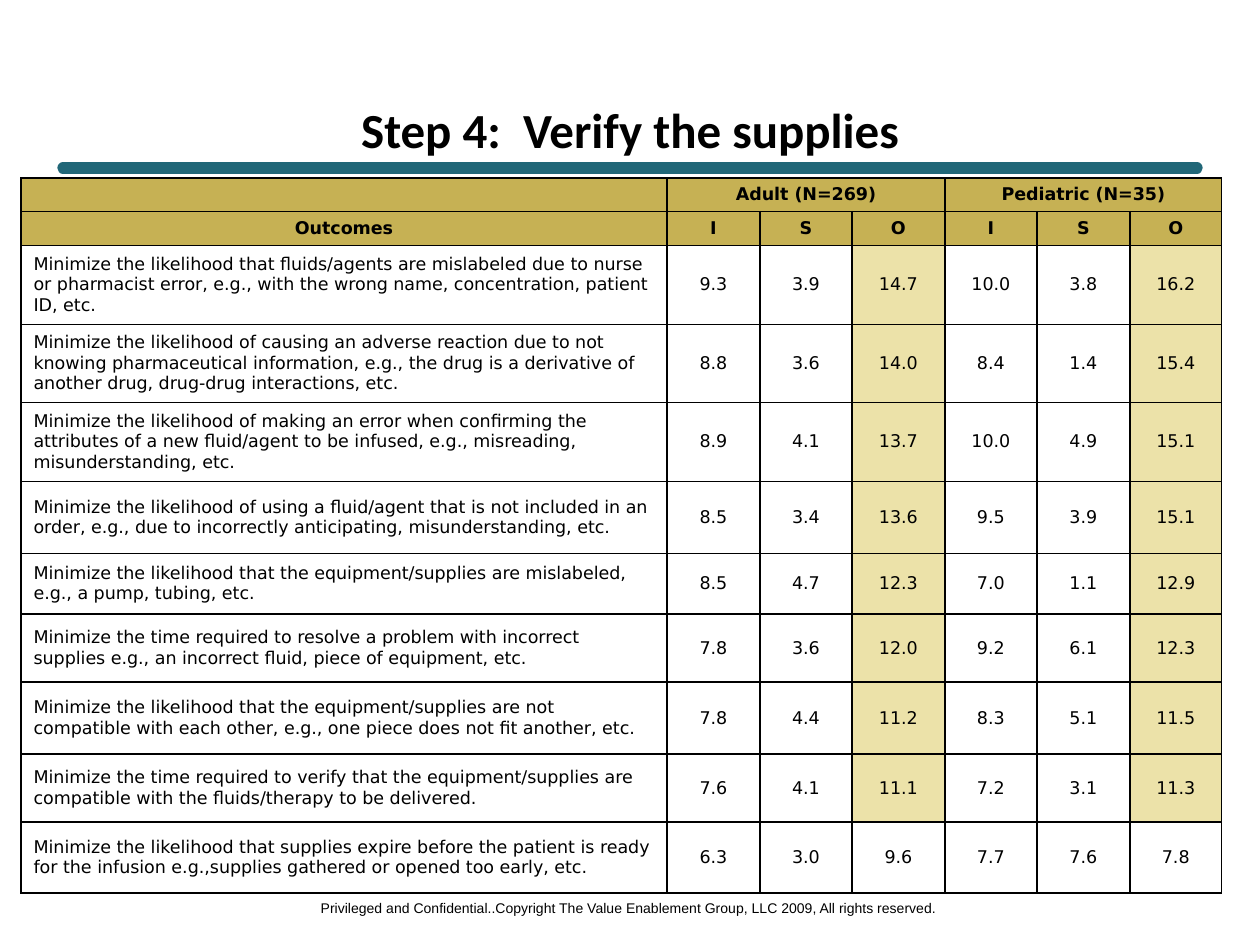
from lxml.etree import SubElement
from pptx import Presentation
from pptx.dml.color import RGBColor
from pptx.enum.shapes import MSO_CONNECTOR
from pptx.enum.text import MSO_ANCHOR, MSO_AUTO_SIZE, PP_ALIGN
from pptx.oxml import parse_xml
from pptx.oxml.ns import nsdecls, qn
from pptx.util import Pt

PX = 914400 / 126
GOLD, PALE, WHITE, BLACK = "C6B154", "ECE2A9", "FFFFFF", "000000"


def px(*lengths):
    return [round(n * PX) for n in lengths]


def add_text(tf, text, font, size, bold=False, align=PP_ALIGN.CENTER):
    p = tf.paragraphs[0]
    p.alignment = align
    r = p.add_run()
    r.text = text
    r.font.name, r.font.size, r.font.bold = font, Pt(size), bold
    r.font.color.rgb = RGBColor.from_string(BLACK)


prs = Presentation()
prs.slide_width, prs.slide_height = px(1260, 945)
s = prs.slides.add_slide(prs.slide_layouts[6])

# Rule under the title
rule = s.shapes.add_connector(MSO_CONNECTOR.STRAIGHT, *px(63, 168, 1197, 168))
rule.line.color.rgb = RGBColor.from_string("216778")
rule.line.width = Pt(6.5)
rule.line._get_or_add_ln().set("cap", "rnd")
SubElement(rule._element.spPr, qn("a:effectLst"))

# Footer
footer = s.shapes.add_textbox(*px(304, 893, 650, 30))
tf = footer.text_frame
tf.word_wrap = False
tf.auto_size = MSO_AUTO_SIZE.SHAPE_TO_FIT_TEXT
add_text(tf, "Privileged and Confidential..Copyright The Value Enablement Group, LLC 2009, "
         "All rights reserved.", "Arial", 8)

# Title
title = s.shapes.add_textbox(*px(63, 105, 1134, 48))
tf = title.text_frame
tf.word_wrap = True
tf.vertical_anchor = MSO_ANCHOR.MIDDLE
add_text(tf, "Step 4:  Verify the supplies", "Calibri", 28, True)

# Outcome scores
rows = [
    ["", "Adult (N=269)", "", "", "Pediatric (N=35)", "", ""],
    ["Outcomes", "I", "S", "O", "I", "S", "O"],
    ["Minimize the likelihood that fluids/agents are mislabeled due to nurse or pharmacist "
     "error, e.g., with the wrong name, concentration, patient ID, etc.",
     9.3, 3.9, 14.7, 10.0, 3.8, 16.2],
    ["Minimize the likelihood of causing an adverse reaction due to not knowing pharmaceutical "
     "information, e.g., the drug is a derivative of another drug, drug-drug interactions, etc.",
     8.8, 3.6, 14.0, 8.4, 1.4, 15.4],
    ["Minimize the likelihood of making an error when confirming the attributes of a new "
     "fluid/agent to be infused, e.g., misreading, misunderstanding, etc.",
     8.9, 4.1, 13.7, 10.0, 4.9, 15.1],
    ["Minimize the likelihood of using a fluid/agent that is not included in an order, e.g., "
     "due to incorrectly anticipating, misunderstanding, etc.",
     8.5, 3.4, 13.6, 9.5, 3.9, 15.1],
    ["Minimize the likelihood that the equipment/supplies are mislabeled, e.g., a pump, "
     "tubing, etc.", 8.5, 4.7, 12.3, 7.0, 1.1, 12.9],
    ["Minimize the time required to resolve a problem with incorrect supplies e.g., an "
     "incorrect fluid, piece of equipment, etc.", 7.8, 3.6, 12.0, 9.2, 6.1, 12.3],
    ["Minimize the likelihood that the equipment/supplies are not compatible with each other, "
     "e.g., one piece does not fit another, etc.", 7.8, 4.4, 11.2, 8.3, 5.1, 11.5],
    ["Minimize the time required to verify that the equipment/supplies are compatible with "
     "the fluids/therapy to be delivered.", 7.6, 4.1, 11.1, 7.2, 3.1, 11.3],
    ["Minimize the likelihood that supplies expire before the patient is ready for the "
     "infusion e.g.,supplies gathered or opened too early, etc.",
     6.3, 3.0, 9.6, 7.7, 7.6, 7.8],
]
widths = [646] + [93, 92] * 3
heights = [33, 33, 79, 78, 79, 72, 61, 68, 72, 68, 71]
table = s.shapes.add_table(len(rows), len(widths),
                           *px(21, 178, sum(widths), sum(heights))).table
for col, width in zip(table.columns, px(*widths)):
    col.width = width
for row, height in zip(table.rows, px(*heights)):
    row.height = height

for i, values in enumerate(rows):
    header = i < 2
    for j, value in enumerate(values):
        cell = table.cell(i, j)
        cell.vertical_anchor = MSO_ANCHOR.MIDDLE
        # Borders come before the fill in the cell properties
        for side in ("lnL", "lnR", "lnT", "lnB"):
            cell._tc.get_or_add_tcPr().append(parse_xml(
                f'<a:{side} {nsdecls("a")} w="12700"><a:solidFill>'
                f'<a:srgbClr val="{BLACK}"/></a:solidFill></a:{side}>'))
        # Opportunity scores above 10 are highlighted
        high = not header and j in (3, 6) and value > 10
        cell.fill.solid()
        cell.fill.fore_color.rgb = RGBColor.from_string(
            GOLD if header else PALE if high else WHITE)
        if value == "":
            # A small end mark keeps empty cells from stretching the row
            SubElement(cell.text_frame.paragraphs[0]._p, qn("a:endParaRPr"), sz="1000")
        else:
            align = PP_ALIGN.CENTER if header or j else PP_ALIGN.LEFT
            add_text(cell.text_frame, str(value), "DejaVu Sans", 10, header, align)

for first in (1, 4):
    table.cell(0, first).merge(table.cell(0, first + 2))

prs.save("out.pptx")
